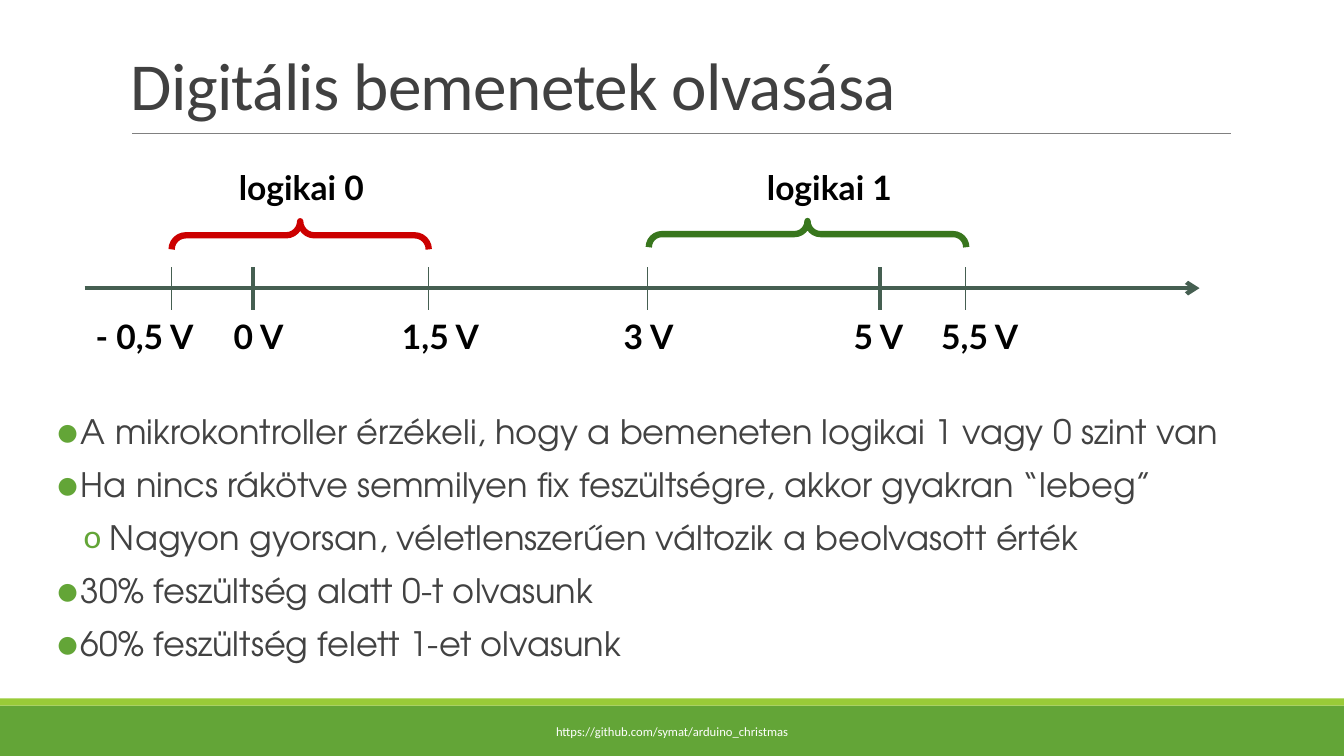
from lxml import etree
from pptx import Presentation
from pptx import util as u
from pptx.dml.color import RGBColor
from pptx.enum import shapes, text
from pptx.oxml.ns import qn

INK = "455F51"
GREEN = "63A537"


def color(value):
    return RGBColor.from_string(value)


def add_line(x1, y1, x2, y2, stroke, width):
    line = page.shapes.add_connector(
        shapes.MSO_CONNECTOR.STRAIGHT, u.Cm(x1), u.Cm(y1), u.Cm(x2), u.Cm(y2))
    line.line.color.rgb = color(stroke)
    line.line.width = u.Pt(width)
    etree.SubElement(line._element.spPr, qn("a:effectLst"))
    return line


deck = Presentation()
deck.slide_width, deck.slide_height = u.Cm(33.87), u.Cm(19.05)
page = deck.slides.add_slide(deck.slide_layouts[6])

# Footer bands and title rule
for top, height, fill in [(17.78, 1.27, GREEN), (17.6, 0.18, "99CB38")]:
    band = page.shapes.add_shape(
        shapes.MSO_SHAPE.RECTANGLE, 0, u.Cm(top), deck.slide_width, u.Cm(height))
    band.shadow.inherit = False
    band.fill.solid()
    band.fill.fore_color.rgb = color(fill)
    band.line.fill.background()
add_line(3.33, 3.35, 31.01, 3.35, "808080", 0.5)

# Title
box = page.shapes.add_textbox(u.Cm(3.05), u.Cm(0.79), u.Cm(27.94), u.Cm(2.46))
box.text_frame.word_wrap = True
box.text_frame.vertical_anchor = text.MSO_ANCHOR.BOTTOM
para = box.text_frame.paragraphs[0]
para.line_spacing = 0.85
span = para.add_run()
span.text = "Digitális bemenetek olvasása"
span.font.name, span.font.size = "Calibri", u.Pt(48)
span.font.color.rgb = color("404040")
span.font._element.set("spc", "-50")

# Bullet list: margin and hanging indent in cm per level
levels = [("•", 150, 0.9, -0.65), ("o", 100, 1.63, -0.66)]
points = [
    (0, "A mikrokontroller érzékeli, hogy a bemeneten logikai 1 vagy 0 szint van"),
    (0, "Ha nincs rákötve semmilyen fix feszültségre, akkor gyakran “lebeg”"),
    (1, "Nagyon gyorsan, véletlenszerűen változik a beolvasott érték"),
    (0, "30% feszültség alatt 0-t olvasunk"),
    (0, "60% feszültség felett 1-et olvasunk"),
]
box = page.shapes.add_textbox(u.Cm(1.14), u.Cm(10.34), u.Cm(30.38), u.Cm(7.26))
frame = box.text_frame
frame.word_wrap = True
frame.margin_left = frame.margin_right = 0
for index, (level, wording) in enumerate(points):
    para = frame.add_paragraph() if index else frame.paragraphs[0]
    para.text = wording
    para.level = level
    para.line_spacing = 0.9
    para.space_after = u.Pt(12)
    mark, size, margin, indent = levels[level]
    props = para._p.get_or_add_pPr()
    props.set("marL", str(u.Cm(margin)))
    props.set("indent", str(u.Cm(indent)))
    tint = etree.SubElement(props, qn("a:buClr"))
    etree.SubElement(tint, qn("a:srgbClr"), val=GREEN)
    etree.SubElement(props, qn("a:buSzPct"), val=str(size * 1000))
    etree.SubElement(props, qn("a:buFont"), typeface="Calibri")
    etree.SubElement(props, qn("a:buChar"), char=mark)
    para.font.name, para.font.size = "TeX Gyre Adventor", u.Pt(24)
    para.font.color.rgb = color("424242")

# Voltage axis with arrowhead
axis = add_line(2.13, 7.26, 30.23, 7.26, INK, 3)
stroke = axis._element.spPr.find(qn("a:ln"))
etree.SubElement(stroke, qn("a:tailEnd"), type="arrow")

# Ticks: position, line width, label, label left, label width
ticks = [
    (4.32, 0.75, "- 0,5 V", 2.16, 3.94),
    (6.38, 3, "0 V", 5.64, 2.67),
    (10.8, 0.75, "1,5 V", 9.88, 2.67),
    (16.33, 0.75, "3 V", 15.47, 1.98),
    (22.17, 3, "5 V", 21.26, 2.08),
    (24.33, 0.75, "5,5 V", 23.47, 2.67),
]
labels = [("logikai 0", 5.77, 3.96, 4.39), ("logikai 1", 19.08, 3.96, 4.19)]
for x, width, wording, left, label_width in ticks:
    add_line(x, 6.73, x, 7.82, INK, width)
    labels.append((wording, left, 7.7, label_width))

# Tick and range labels
for wording, left, top, width in labels:
    box = page.shapes.add_textbox(u.Cm(left), u.Cm(top), u.Cm(width), u.Cm(1.55))
    frame = box.text_frame
    frame.word_wrap = True
    frame.auto_size = text.MSO_AUTO_SIZE.SHAPE_TO_FIT_TEXT
    frame.margin_top = frame.margin_bottom = u.Cm(0.25)
    para = frame.paragraphs[0]
    para.text = wording
    para.font.name, para.font.size, para.font.bold = "Lato", u.Pt(24), True
    para.font.color.rgb = color("000000")

# Braces over the logic ranges, turned to open downwards
for left, top, width, height, stroke in [
        (7.21, 2.69, 0.71, 6.48, "CC0000"), (20.02, 1.9, 0.66, 8, "38761D")]:
    brace = page.shapes.add_shape(
        shapes.MSO_SHAPE.LEFT_BRACE, u.Cm(left), u.Cm(top), u.Cm(width), u.Cm(height))
    brace.rotation = 90
    brace.adjustments[0] = brace.adjustments[1] = 0.5
    brace.shadow.inherit = False
    brace.fill.background()
    brace.line.color.rgb = color(stroke)
    brace.line.width = u.Pt(4.5)

# Footer address
box = page.shapes.add_textbox(u.Cm(10.24), u.Cm(17.93), u.Cm(13.39), u.Cm(1.02))
box.text_frame.word_wrap = True
box.text_frame.vertical_anchor = text.MSO_ANCHOR.MIDDLE
para = box.text_frame.paragraphs[0]
para.text = "https://github.com/symat/arduino_christmas"
para.alignment = text.PP_ALIGN.CENTER
para.font.name, para.font.size = "Calibri", u.Pt(9)
para.font.color.rgb = color("FFFFFF")

deck.save("out.pptx")
